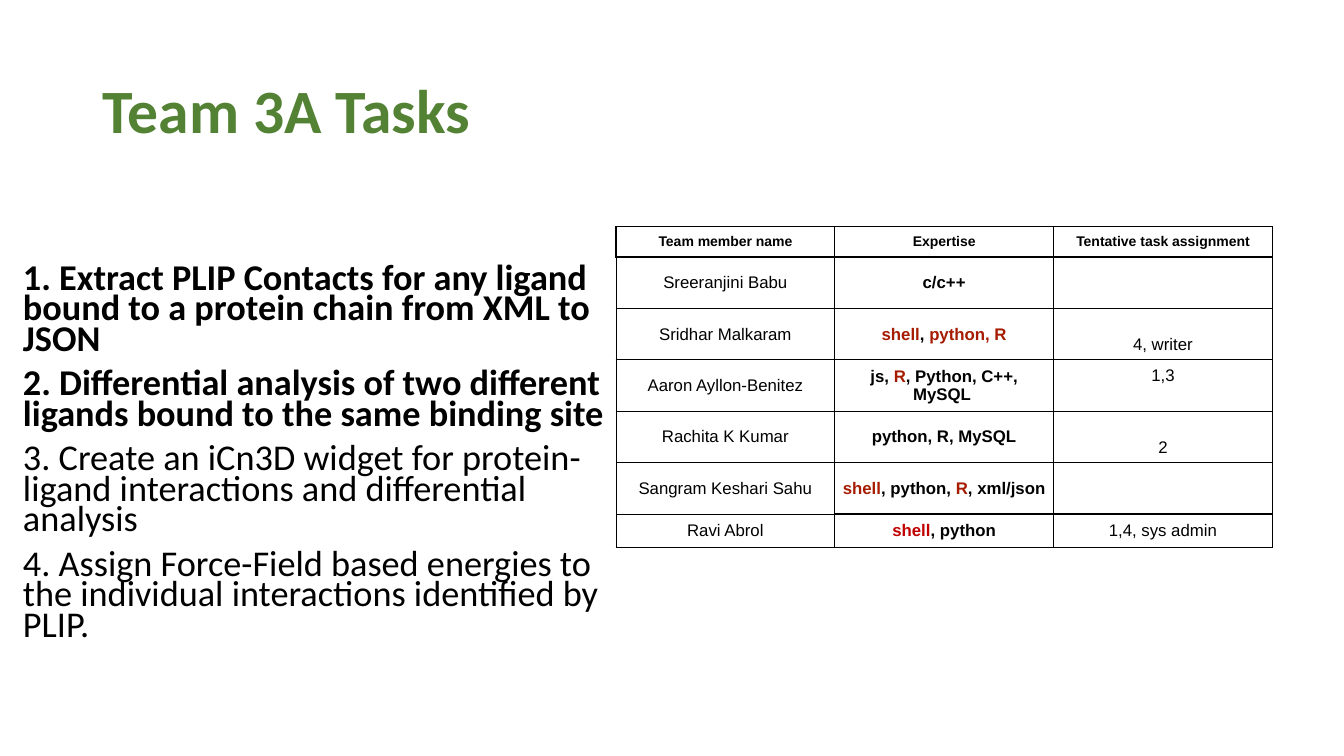
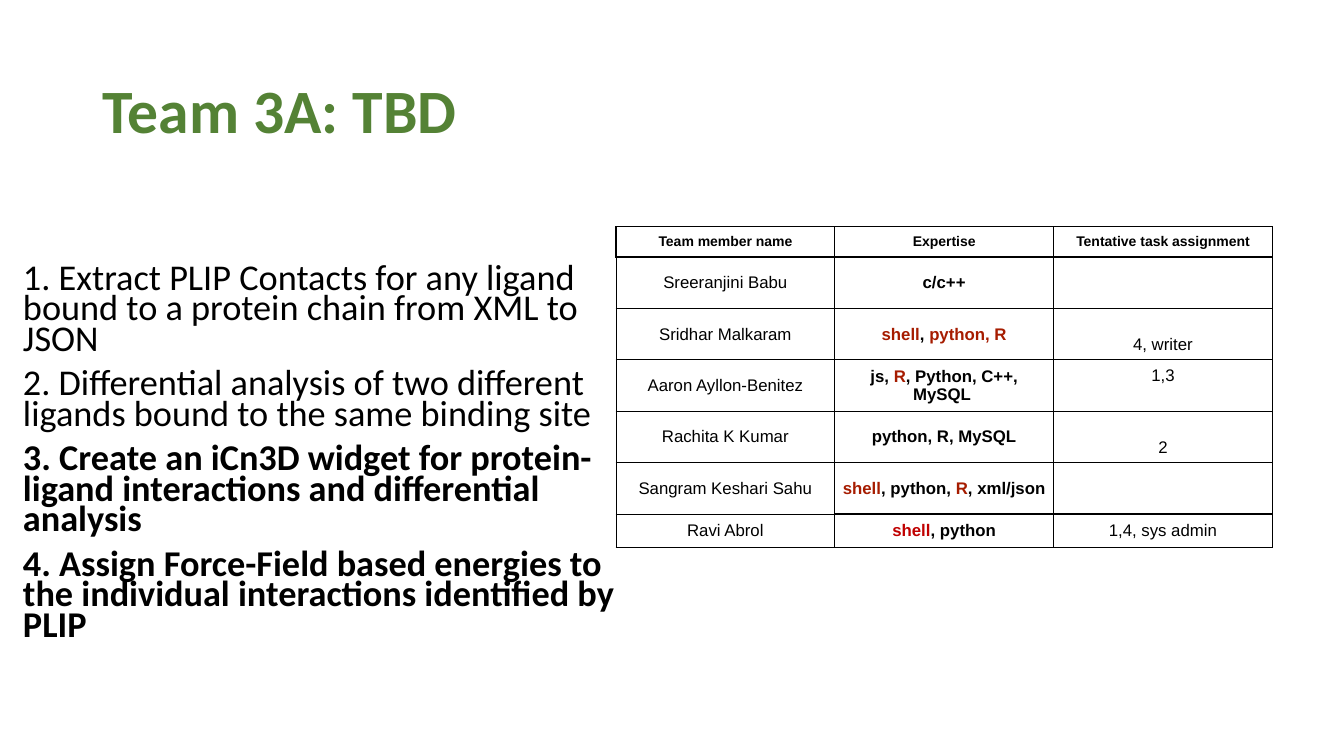
from dataclasses import dataclass

from lxml import etree
from pptx import Presentation
from pptx import util as u
from pptx.dml import color
from pptx.enum import text
from pptx.oxml import ns


@dataclass(frozen=True)
class Theme:
    title_font: str = "Calibri"
    table_font: str = "Arial"
    green: str = "548235"
    black: str = "000000"
    rust: str = "A61C00"
    red: str = "C00000"
    title_size: float = 44
    task_size: float = 25.9
    header_size: float = 10
    cell_size: float = 12
    thin_line: float = 0.75
    line: float = 1


THEME = Theme()
TOP, MIDDLE, BOTTOM = (
    text.MSO_ANCHOR.TOP, text.MSO_ANCHOR.MIDDLE, text.MSO_ANCHOR.BOTTOM)
LEFT, CENTER = text.PP_ALIGN.LEFT, text.PP_ALIGN.CENTER

TASKS = [
    "1. Extract PLIP Contacts for any ligand bound to a protein chain from XML to JSON",
    "2. Differential analysis of two different ligands bound to the same binding site",
    "3. Create an iCn3D widget for protein-ligand interactions and differential analysis",
    "4. Assign Force-Field based energies to the individual interactions identified by PLIP",
]
HEADERS = ["Team member name", "Expertise", "Tentative task assignment"]
MEMBERS = [
    ("Sreeranjini Babu", ["c/c++"], "", MIDDLE),
    ("Sridhar Malkaram",
     [("shell", THEME.rust), ", ", ("python, R", THEME.rust)], "4, writer", BOTTOM),
    ("Aaron Ayllon-Benitez",
     ["js, ", ("R", THEME.rust), ", Python, C++, MySQL "], "1,3", TOP),
    ("Rachita K Kumar", ["python, R, MySQL"], "2", BOTTOM),
    ("Sangram Keshari Sahu",
     [("shell", THEME.rust), ", python, ", ("R", THEME.rust), ", xml/json"], "", MIDDLE),
    ("Ravi Abrol", [("shell", THEME.red), ", python"], "1,4, sys admin", MIDDLE),
]
ROW_HEIGHTS = [0.3] + [0.51] * 5 + [0.33]
COLUMN_WIDTH = 2.17


def write(para, spans, *, font, size, ink=THEME.black, bold=False,
          align=LEFT, spacing=None, before=0):
    para.alignment = align
    para.line_spacing = spacing
    para.space_before = u.Pt(before)
    for part in spans:
        words, tint = part if isinstance(part, tuple) else (part, ink)
        span = para.add_run()
        span.text = words
        span.font.name = font
        span.font.size = u.Pt(size)
        span.font.bold = bold
        span.font.color.rgb = color.RGBColor.from_string(tint)


def add_title(page, words):
    title = page.shapes.title
    title.left, title.top = u.Inches(0.92), u.Inches(0.4)
    title.width, title.height = u.Inches(11.5), u.Inches(1.45)
    title.text_frame.vertical_anchor = MIDDLE
    write(title.text_frame.paragraphs[0], [words], font=THEME.title_font,
          size=THEME.title_size, ink=THEME.green, bold=True, spacing=0.9)


def set_borders(cell, width):
    properties = cell._tc.get_or_add_tcPr()
    for side in ("lnL", "lnR", "lnT", "lnB"):
        line = etree.SubElement(properties, ns.qn(f"a:{side}"), w=str(u.Pt(width)))
        fill = etree.SubElement(line, ns.qn("a:solidFill"))
        etree.SubElement(fill, ns.qn("a:srgbClr"), val=THEME.black)


def fill_cell(cell, spans, *, size=THEME.cell_size, bold=False, anchor=MIDDLE,
              inset=0.07, border=THEME.line):
    set_borders(cell, border)
    cell.fill.background()
    cell.vertical_anchor = anchor
    cell.margin_left = cell.margin_right = u.Inches(inset)
    cell.margin_top = cell.margin_bottom = u.Inches(min(inset, 0.06))
    write(cell.text_frame.paragraphs[0], [part for part in spans if part],
          font=THEME.table_font, size=size, bold=bold, align=CENTER)


def add_team_table(page):
    table = page.shapes.add_table(
        len(ROW_HEIGHTS), len(HEADERS), u.Inches(6.11), u.Inches(2.25),
        u.Inches(COLUMN_WIDTH * len(HEADERS)), u.Inches(sum(ROW_HEIGHTS))).table
    table.first_row = table.horz_banding = False
    for column in table.columns:
        column.width = u.Inches(COLUMN_WIDTH)
    for row, height in zip(table.rows, ROW_HEIGHTS):
        row.height = u.Inches(height)
    for index, header in enumerate(HEADERS):
        fill_cell(table.cell(0, index), [header], size=THEME.header_size, bold=True)
    for index, (name, skills, assignment, anchor) in enumerate(MEMBERS, 1):
        fill_cell(table.cell(index, 0), [name], inset=0.03, border=THEME.thin_line)
        fill_cell(table.cell(index, 1), skills, bold=True)
        fill_cell(table.cell(index, 2), [assignment], anchor=anchor)


def add_tasks(page, tasks, bold_tasks):
    box = page.shapes.add_textbox(
        u.Inches(0.13), u.Inches(2.59), u.Inches(6.34), u.Inches(4.17))
    frame = box.text_frame
    frame.word_wrap = True
    for index, task in enumerate(tasks):
        para = frame.add_paragraph() if index else frame.paragraphs[0]
        write(para, [task], font=THEME.title_font, size=THEME.task_size,
              bold=index in bold_tasks, spacing=0.7, before=10 if index else 0)


def add_team_page(deck, title, tasks, bold_tasks):
    page = deck.slides.add_slide(deck.slide_layouts[5])
    add_title(page, title)
    add_team_table(page)
    add_tasks(page, tasks, bold_tasks)


def main():
    deck = Presentation()
    deck.slide_width, deck.slide_height = u.Inches(13.33), u.Inches(7.5)
    add_team_page(deck, "Team 3A Tasks", TASKS[:-1] + [TASKS[-1] + "."], {0, 1})
    add_team_page(deck, "Team 3A: TBD", TASKS, {2, 3})
    deck.save("out.pptx")


if __name__ == "__main__":
    main()
